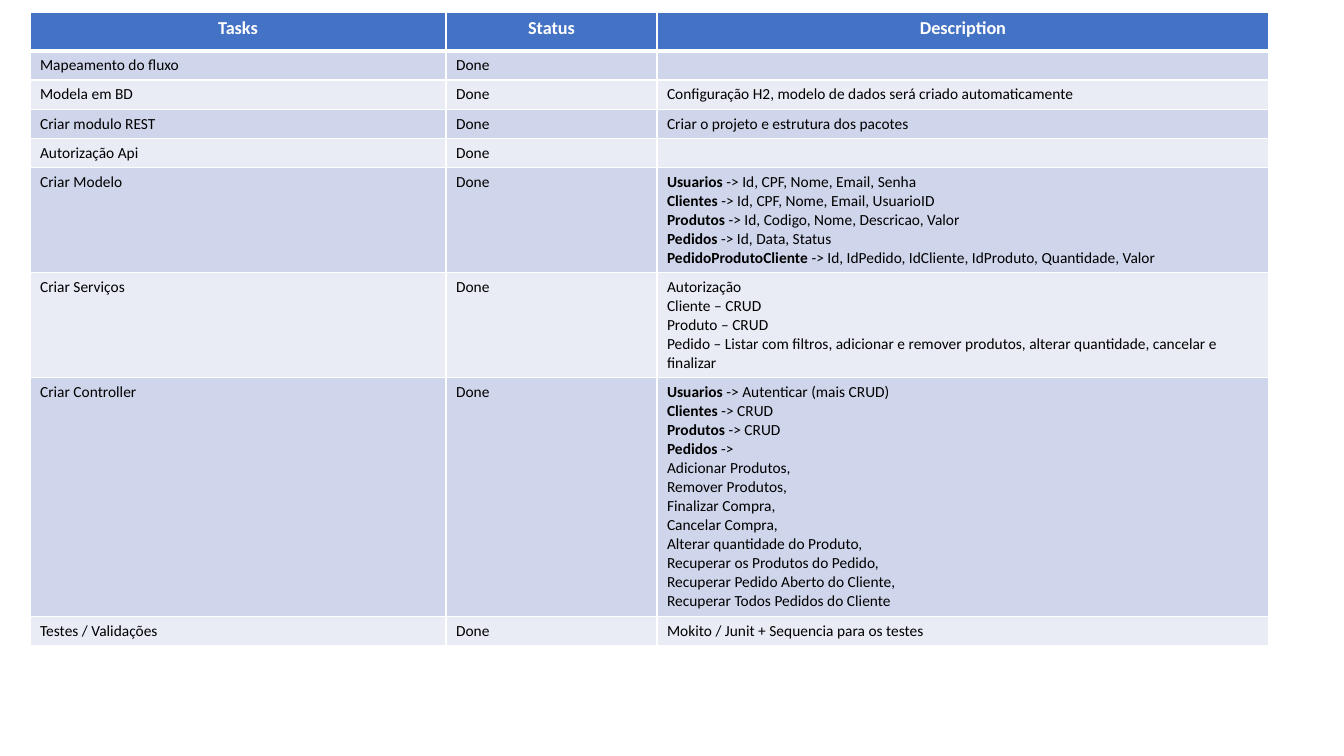
"""Build a slide with a table of project tasks, their status and description."""
from lxml.etree import SubElement
from pptx import Presentation
from pptx.dml.color import RGBColor
from pptx.enum.text import PP_ALIGN
from pptx.oxml.ns import qn
from pptx.util import Inches, Pt

PX = Inches(1) / 100.8
WHITE = RGBColor(0xFF, 0xFF, 0xFF)
BLACK = RGBColor(0x00, 0x00, 0x00)
BLUE = RGBColor(0x44, 0x72, 0xC4)
BANDS = RGBColor(0xE9, 0xEB, 0xF5), RGBColor(0xCF, 0xD5, 0xEA)
FONT = "Calibri"
ARROW = " ->"

HEADS = ["Tasks", "Status", "Description"]
TASKS = [
    ("Mapeamento do fluxo", []),
    ("Modela em BD", ["Configuração H2, modelo de dados será criado automaticamente"]),
    ("Criar modulo REST", ["Criar o projeto e estrutura dos pacotes"]),
    ("Autorização Api", []),
    ("Criar Modelo", [
        "Usuarios -> Id, CPF, Nome, Email, Senha",
        "Clientes -> Id, CPF, Nome, Email, UsuarioID",
        "Produtos -> Id, Codigo, Nome, Descricao, Valor",
        "Pedidos -> Id, Data, Status",
        "PedidoProdutoCliente -> Id, IdPedido, IdCliente, IdProduto, Quantidade, Valor",
    ]),
    ("Criar Serviços", [
        "Autorização",
        "Cliente – CRUD",
        "Produto – CRUD",
        "Pedido – Listar com filtros, adicionar e remover produtos, "
        "alterar quantidade, cancelar e finalizar",
    ]),
    ("Criar Controller", [
        "Usuarios -> Autenticar (mais CRUD)",
        "Clientes -> CRUD",
        "Produtos -> CRUD",
        "Pedidos ->",
        "Adicionar Produtos,",
        "Remover Produtos,",
        "Finalizar Compra,",
        "Cancelar Compra,",
        "Alterar quantidade do Produto,",
        "Recuperar os Produtos do Pedido,",
        "Recuperar Pedido Aberto do Cliente,",
        "Recuperar Todos Pedidos do Cliente",
    ]),
    ("Testes / Validações", ["Mokito / Junit + Sequencia para os testes"]),
]
STATUS = "Done"
LEFT, TOP = 30, 12
WIDTHS = [416, 211, 612]
HEIGHTS = [39, 29, 29, 29, 29, 105, 105, 239, 29]


def px(size):
    return round(size * PX)


def edge(cell, row):
    """Draw white borders, thick between the heading and the first task."""
    props = cell._tc.get_or_add_tcPr()
    for side in "LRTB":
        thick = (row, side) in [(0, "B"), (1, "T")]
        line = SubElement(props, qn("a:ln" + side), w=str(Pt(3 if thick else 1)))
        fill = SubElement(line, qn("a:solidFill"))
        SubElement(fill, qn("a:srgbClr"), val=str(WHITE))


def write(cell, lines, head):
    """Write one paragraph per line, with the name before an arrow in bold."""
    size = 13 if head else 11
    frame = cell.text_frame
    frame.text = "\n".join(lines)
    for par, line in zip(frame.paragraphs, lines):
        par.alignment = PP_ALIGN.CENTER if head else PP_ALIGN.LEFT
        name, mark, rest = line.partition(ARROW)
        if mark:
            par.runs[0].text = name
            par.add_run().text = mark + rest
        for spot, run in enumerate(par.runs):
            font = run.font
            font.name, font.size = FONT, Pt(size)
            font.bold = head or bool(mark and spot == 0)
            font.color.rgb = WHITE if head else BLACK
    if not lines:
        SubElement(frame.paragraphs[0]._p, qn("a:endParaRPr"), sz=str(size * 100))


deck = Presentation()
deck.slide_width, deck.slide_height = px(1344), px(756)
slide = deck.slides.add_slide(deck.slide_layouts[6])
rows = [[[text] for text in HEADS]]
rows += [[[task], [STATUS], notes] for task, notes in TASKS]
grid = slide.shapes.add_table(
    len(rows), len(HEADS), px(LEFT), px(TOP), px(sum(WIDTHS)), px(sum(HEIGHTS))
).table
for col, width in zip(grid.columns, WIDTHS):
    col.width = px(width)
for band, height in zip(grid.rows, HEIGHTS):
    band.height = px(height)
for row, cells in enumerate(rows):
    for col, lines in enumerate(cells):
        cell = grid.cell(row, col)
        edge(cell, row)
        cell.fill.solid()
        cell.fill.fore_color.rgb = BANDS[row % 2] if row else BLUE
        write(cell, lines, row == 0)
deck.save("out.pptx")
